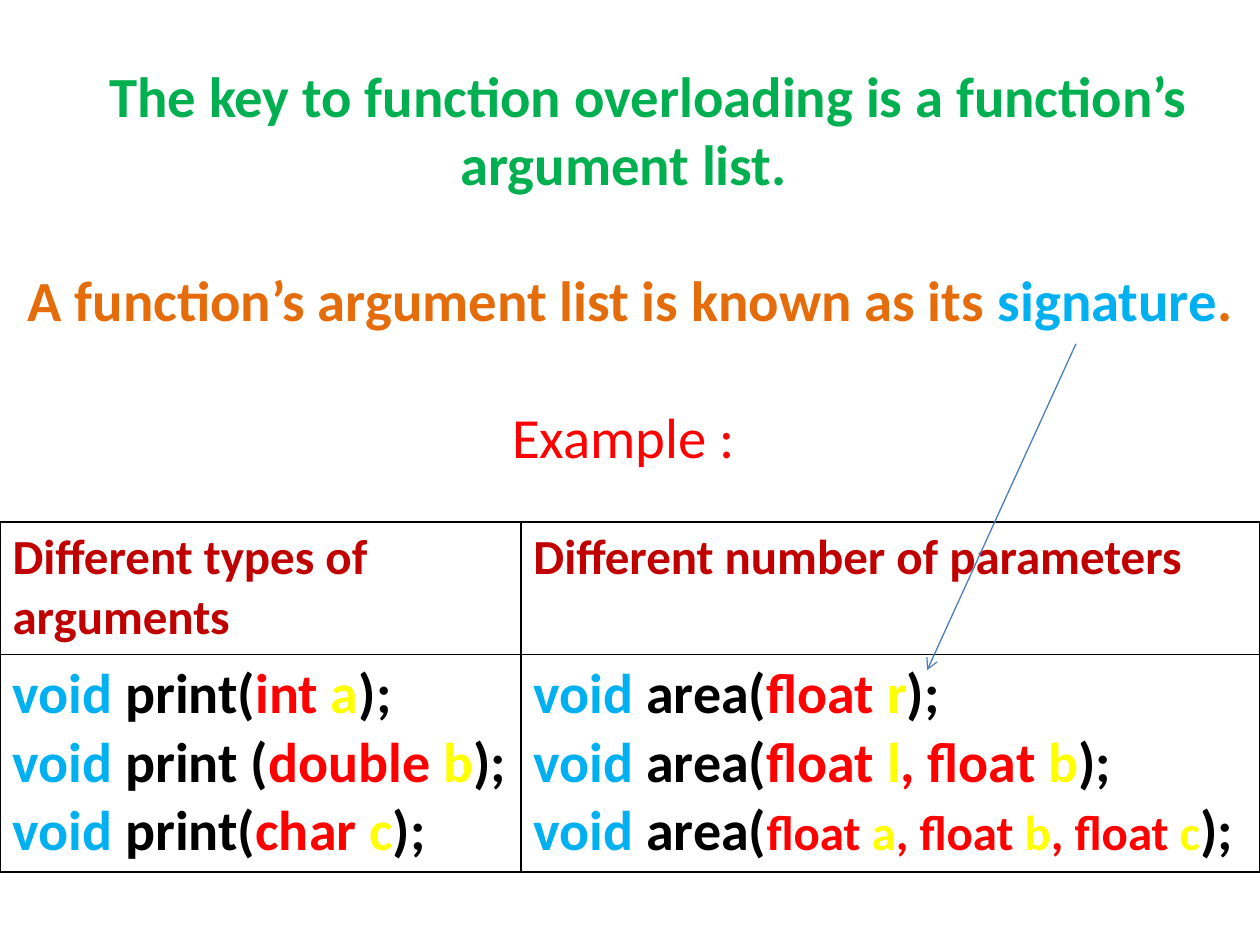
from dataclasses import dataclass

import pptx
import pptx.dml.color
import pptx.enum.shapes
import pptx.enum.text
import pptx.oxml
import pptx.oxml.ns
import pptx.util
from pptx.util import Cm


@dataclass(frozen=True)
class Theme:
    font: str = "Calibri"
    black: str = "000000"
    green: str = "00B050"
    orange: str = "E46C0A"
    sky: str = "00B0F0"
    red: str = "FF0000"
    dark_red: str = "C00000"
    yellow: str = "FFFF00"
    arrow: str = "4B7EBC"
    title_size: float = 32.4
    code_size: float = 32
    small_size: float = 28


@dataclass(frozen=True)
class Span:
    text: str
    color: str
    bold: bool = True


@dataclass(frozen=True)
class Prototype:
    name: str
    parameters: tuple[tuple[str, str], ...]
    parameter_size: float = Theme.code_size


THEME = Theme()

TITLE = [
    [Span("The key to function overloading is a function’s argument list. ", THEME.green)],
    [Span("A function’s argument list is known as its ", THEME.orange),
     Span("signature", THEME.sky), Span(".", THEME.orange)],
    [Span("Example : ", THEME.red, bold=False)],
]
COLUMNS = [
    ("Different types of arguments", [
        Prototype(" print(", (("int", "a"),)),
        Prototype(" print (", (("double", "b"),)),
        Prototype(" print(", (("char", "c"),)),
    ]),
    ("Different number of parameters", [
        Prototype(" area(", (("float", "r"),)),
        Prototype(" area(", (("float", "l"), ("float", "b"))),
        Prototype(" area(", (("float", "a"), ("float", "b"), ("float", "c")),
                  THEME.small_size),
    ]),
]


def add_text(para, text: str, *, size: float, color: str, bold: bool = True) -> None:
    span = para.add_run()
    span.text = text
    span.font.name = THEME.font
    span.font.size = pptx.util.Pt(size)
    span.font.bold = bold
    span.font.color.rgb = pptx.dml.color.RGBColor.from_string(color)


def next_para(frame, index: int):
    return frame.paragraphs[0] if index == 0 else frame.add_paragraph()


def add_title(page) -> None:
    box = page.shapes.add_textbox(Cm(0), Cm(0.76), Cm(25.4), Cm(9.17))
    frame = box.text_frame
    frame.word_wrap = True
    frame.vertical_anchor = pptx.enum.text.MSO_ANCHOR.MIDDLE
    for index, spans in enumerate(TITLE):
        para = next_para(frame, index)
        para.alignment = pptx.enum.text.PP_ALIGN.CENTER
        if index == 0:
            para._p.get_or_add_pPr().set("indent", str(Cm(0.75)))
        else:
            para.space_before = pptx.util.Pt(39)
        for span in spans:
            add_text(para, span.text, size=THEME.title_size, color=span.color, bold=span.bold)


def add_prototype(para, prototype: Prototype) -> None:
    size = prototype.parameter_size
    add_text(para, "void", size=THEME.code_size, color=THEME.sky)
    add_text(para, prototype.name, size=THEME.code_size, color=THEME.black)
    for index, (kind, name) in enumerate(prototype.parameters):
        separator = ", " if index else ""
        add_text(para, f"{separator}{kind} ", size=size, color=THEME.red)
        add_text(para, name, size=size, color=THEME.yellow)
    add_text(para, ");", size=THEME.code_size, color=THEME.black)


def format_cell(cell) -> None:
    properties = cell._tc.get_or_add_tcPr()
    for side in ("lnL", "lnR", "lnT", "lnB"):
        properties.append(pptx.oxml.parse_xml(
            f'<a:{side} {pptx.oxml.ns.nsdecls("a")} w="{pptx.util.Pt(1)}"><a:solidFill>'
            f'<a:srgbClr val="{THEME.black}"/></a:solidFill></a:{side}>'))
    cell.fill.background()


def add_examples(page) -> None:
    table = page.shapes.add_table(2, 2, Cm(0), Cm(10.52), Cm(25.4), Cm(7.06)).table
    table.first_row = table.horz_banding = False
    for column, width in zip(table.columns, (10.5, 14.9)):
        column.width = Cm(width)
    for row, height in zip(table.rows, (2.67, 4.39)):
        row.height = Cm(height)
    for index, (heading, prototypes) in enumerate(COLUMNS):
        head, body = table.cell(0, index), table.cell(1, index)
        format_cell(head)
        format_cell(body)
        add_text(head.text_frame.paragraphs[0], heading,
                 size=THEME.small_size, color=THEME.dark_red)
        for line, prototype in enumerate(prototypes):
            add_prototype(next_para(body.text_frame, line), prototype)


def add_arrow(page) -> None:
    arrow = page.shapes.add_connector(
        pptx.enum.shapes.MSO_CONNECTOR.STRAIGHT, Cm(21.69), Cm(6.93), Cm(18.69), Cm(13.51))
    arrow.line.color.rgb = pptx.dml.color.RGBColor.from_string(THEME.arrow)
    arrow.line.width = pptx.util.Pt(0.75)
    namespace = pptx.oxml.ns.nsdecls("a")
    arrow.line._get_or_add_ln().append(
        pptx.oxml.parse_xml(f'<a:tailEnd {namespace} type="arrow"/>'))
    arrow._element.spPr.append(pptx.oxml.parse_xml(f"<a:effectLst {namespace}/>"))


def main() -> None:
    deck = pptx.Presentation()
    deck.slide_width, deck.slide_height = Cm(25.4), Cm(19.05)
    page = deck.slides.add_slide(deck.slide_layouts[6])
    # Statement, overload table, and the arrow from "signature" to its example
    add_title(page)
    add_examples(page)
    add_arrow(page)
    deck.save("out.pptx")


if __name__ == "__main__":
    main()
